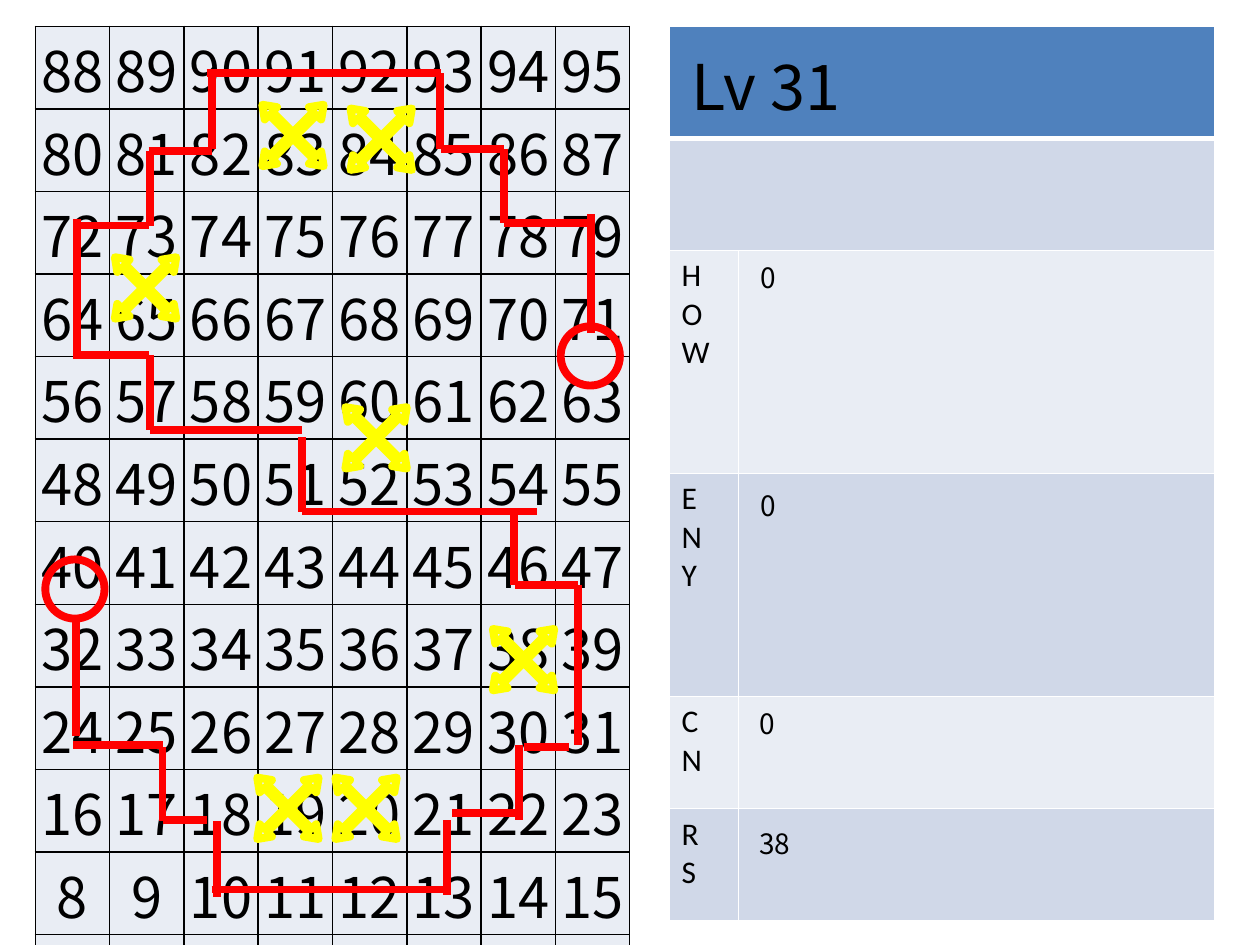
from lxml import etree
from pptx import Presentation
from pptx.dml.color import RGBColor
from pptx.enum.shapes import MSO_CONNECTOR, MSO_SHAPE
from pptx.enum.text import MSO_ANCHOR, MSO_AUTO_SIZE, PP_ALIGN
from pptx.oxml.ns import qn
from pptx.util import Inches, Pt

LEFT, CENTER = PP_ALIGN.LEFT, PP_ALIGN.CENTER
TOP, MIDDLE = MSO_ANCHOR.TOP, MSO_ANCHOR.MIDDLE
STRAIGHT = MSO_CONNECTOR.STRAIGHT
OVAL, QUAD_ARROW = MSO_SHAPE.OVAL, MSO_SHAPE.QUAD_ARROW
GROW = MSO_AUTO_SIZE.SHAPE_TO_FIT_TEXT

COLORS = {"black": "000000", "white": "FFFFFF", "route": "FF0000",
          "block": "FFFF00", "header": "4F81BD", "band": "D0D8E8",
          "pale": "E9EDF4"}
RGB = {name: RGBColor.from_string(value) for name, value in COLORS.items()}
NUMBER_FONT, LABEL_FONT = "Noto Sans CJK SC", "Calibri"


def style_cell(cell, fill, border, widths=(1, 1, 1, 1)):
    """Fill a cell and draw its left, right, top and bottom borders."""
    properties = cell._tc.get_or_add_tcPr()
    for side, width in zip("LRTB", widths):
        line = etree.SubElement(properties, qn(f"a:ln{side}"), w=str(Pt(width)))
        solid = etree.SubElement(line, qn("a:solidFill"))
        etree.SubElement(solid, qn("a:srgbClr"), val=COLORS[border])
    cell.fill.solid()
    cell.fill.fore_color.rgb = RGB[fill]


def style_text(paragraph, size, font, align=LEFT):
    paragraph.alignment = align
    for run in paragraph.runs:
        run.font.size = Pt(size)
        run.font.name = font
        run.font.color.rgb = RGB["black"]


prs = Presentation()
prs.slide_width, prs.slide_height = Inches(10), Inches(7.5)
slide = prs.slides.add_slide(prs.slide_layouts[5])
shapes = slide.shapes

# Board numbered upwards from the bottom-left square
ROWS, COLS, SQUARE = 12, 8, 0.59
board = shapes.add_table(ROWS, COLS, Inches(0.28), Inches(0.21),
                         Inches(COLS * SQUARE), Inches(ROWS * SQUARE)).table
board.first_row = board.horz_banding = False
square_format = {"margin_left": Inches(0.01), "margin_right": Inches(0.01),
                 "margin_top": Inches(0.01), "margin_bottom": 0,
                 "vertical_anchor": MIDDLE}
for row in range(ROWS):
    for col in range(COLS):
        square = board.cell(row, col)
        square.text = str((ROWS - 1 - row) * COLS + col)
        for name, value in square_format.items():
            setattr(square, name, value)
        style_cell(square, "pale", "black")
        style_text(square.text_frame.paragraphs[0], 32, NUMBER_FONT, CENTER)

# Level summary
LEVEL_ROWS = [("", 0.89, "header"), ("", 0.89, "band"), ("HOW", 1.77, "pale"),
              ("ENY", 1.77, "band"), ("CN", 0.89, "pale"), ("RS", 0.89, "band")]
summary = shapes.add_table(len(LEVEL_ROWS), 2, Inches(5.31), Inches(0.21),
                           Inches(4.33), Inches(7.09)).table
summary.first_row = summary.horz_banding = False
for col, width in enumerate((0.55, 3.78)):
    summary.columns[col].width = Inches(width)
for row, (label, height, fill) in enumerate(LEVEL_ROWS):
    summary.rows[row].height = Inches(height)
    widths = {0: (1, 1, 1, 3), 1: (1, 1, 3, 1)}.get(row, (1, 1, 1, 1))
    for col in range(2):
        style_cell(summary.cell(row, col), fill, "white", widths)
    if not label:
        summary.cell(row, 0).merge(summary.cell(row, 1))
    stacked = summary.cell(row, 0).text_frame.paragraphs[0]
    for i, letter in enumerate(label):
        if i:
            stacked.add_line_break()
        stacked.add_run().text = letter
    style_text(stacked, 18, LABEL_FONT)

# Title lies over the summary's header row
level = shapes.title
shapes._spTree.append(level.element)
level.left, level.top = Inches(5.39), Inches(0.33)
level.width, level.height = Inches(1.44), Inches(0.71)
level.text_frame.text = "Lv 31"
level.text_frame.word_wrap = False
level.text_frame.auto_size = GROW
level.text_frame.vertical_anchor = TOP
style_text(level.text_frame.paragraphs[0], 36, NUMBER_FONT)

for count, x, y, width in [("0", 5.94, 2.02, 0.33), ("0", 5.94, 3.83, 0.33),
                           ("0", 5.93, 5.56, 0.33), ("38", 5.93, 6.51, 0.46)]:
    frame = shapes.add_textbox(Inches(x), Inches(y),
                               Inches(width), Inches(0.37)).text_frame
    frame.text = count
    frame.word_wrap = False
    frame.auto_size = GROW
    style_text(frame.paragraphs[0], 16, NUMBER_FONT)

# Route: horizontal steps (y, x1, x2) and vertical steps (x, y1, y2)
ACROSS = [(0.58, 1.64, 3.5), (1.18, 3.5, 4), (1.2, 1.18, 1.68),
          (1.77, 4, 4.69), (1.79, 0.58, 1.18), (2.82, 0.58, 1.18),
          (3.41, 1.19, 2.4), (4.06, 2.4, 4.26), (4.64, 4.09, 4.59),
          (5.91, 0.58, 1.29), (5.93, 4.16, 4.52), (6.45, 3.59, 4.09),
          (6.51, 1.29, 1.64), (7.06, 1.68, 3.55)]
DOWN = [(0.6, 4.91, 5.84), (0.61, 1.74, 2.82), (1.19, 1.2, 1.79),
        (1.19, 2.82, 3.41), (1.29, 5.93, 6.52), (1.68, 0.58, 1.18),
        (1.72, 6.52, 7.12), (2.4, 3.47, 4.06), (3.49, 0.58, 1.18),
        (3.55, 6.51, 7.1), (4, 1.18, 1.77), (4.08, 4.05, 4.64),
        (4.12, 5.91, 6.51), (4.59, 4.64, 5.91), (4.69, 1.7, 2.64)]
steps = [(x1, y, x2, y) for y, x1, x2 in ACROSS]
steps += [(x, y1, x, y2) for x, y1, y2 in DOWN]
for ends in steps:
    step = shapes.add_connector(STRAIGHT, *map(Inches, ends))
    step.line.color.rgb = RGB["route"]
    step.line.width = Pt(4.5)
    etree.SubElement(step.element.spPr, qn("a:effectLst"))

# Route ends and blocked crossings
ROUTE_ENDS = [(4.45, 2.59), (0.36, 4.44)]
BLOCKS = [(1.98, 0.73), (2.68, 0.76), (1.94, 6.07), (2.56, 6.07),
          (2.64, 3.13), (0.81, 1.94), (3.81, 4.89)]
for kind, size, color, rotation, adjustments, places in [
        (OVAL, 0.47, "route", 0, (), ROUTE_ENDS),
        (QUAD_ARROW, 0.69, "block", 45, (0.05, 0.1, 0.14), BLOCKS)]:
    for x, y in places:
        mark = shapes.add_shape(kind, Inches(x), Inches(y),
                                Inches(size), Inches(size))
        mark.rotation = rotation
        for i, value in enumerate(adjustments):
            mark.adjustments[i] = value
        mark.fill.background()
        mark.line.color.rgb = RGB[color]
        mark.line.width = Pt(4.5)
        mark.shadow.inherit = False

prs.save("out.pptx")
